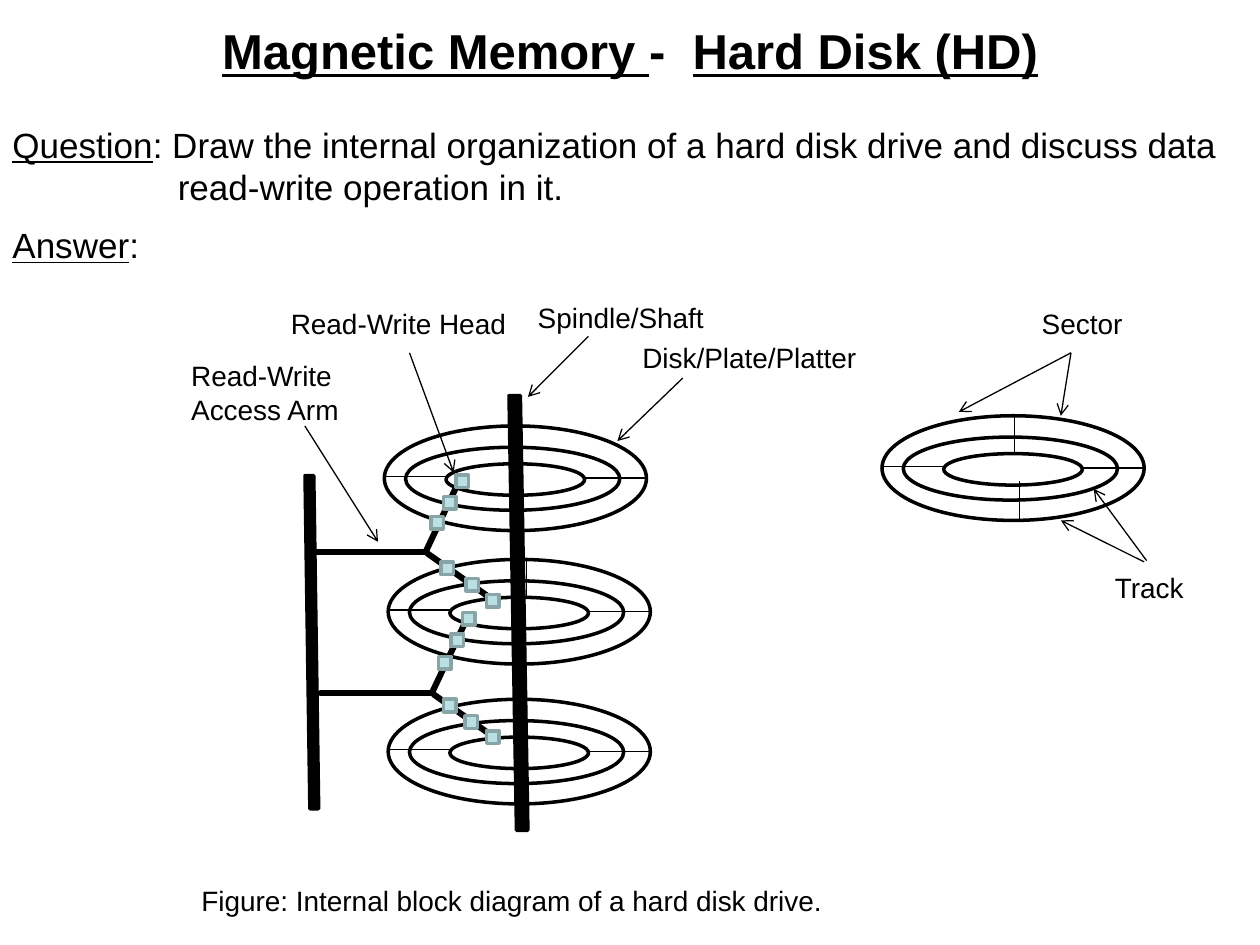
import math
import pptx
import pptx.dml.color
import pptx.enum.shapes
import pptx.enum.text
import pptx.oxml
import pptx.util
from dataclasses import dataclass
from lxml import etree

Pt = pptx.util.Pt
shape_kind = pptx.enum.shapes.MSO_SHAPE
anchor = pptx.enum.text.MSO_ANCHOR
align = pptx.enum.text.PP_ALIGN


@dataclass(frozen=True)
class Theme:
    font: str = "Arial"
    ink: str = "000000"
    aqua: str = "BBE0E3"
    edge: str = "89A4A7"
    head: int = 28
    body: int = 20
    label: int = 16
    thin: float = 0.75
    thick: float = 2


theme = Theme()

title = [[("Magnetic Memory ", True), ("-  ", False), ("Hard Disk (HD)", True)]]
body = [
    [("Question", True),
     (": Draw the internal organization of a hard disk drive and discuss data", False)],
    [("read-write operation in it.", False)],
    [("Answer", True), (":", False)],
]
labels = [
    (["Track"], 630, 322.6, 66.2),
    (["Sector"], 588.2, 171.4, 77.8),
    (["Read-Write", "Access Arm"], 102.2, 201.6, 108),
    (["Disk/Plate/Platter"], 360, 190.8, 156.2),
    (["Spindle/Shaft"], 300.2, 168.5, 113.8),
    (["Read-Write Head"], 159.1, 171.4, 144),
    (["Figure: Internal block diagram of a hard disk drive."], 108, 501.1, 383.8),
]

disks = [(219.6, 243.4, 75.6), (221.8, 319.7, 79), (221.8, 399.6, 79), (504, 237.6, 75.6)]
rings = [(0, 0, 149.8, 59.8), (12.2, 12.2, 122.4, 36), (35.3, 21.6, 79.2, 18)]
spokes = [(78.5, 37.4, 78.5, 59), (0, 28.8, 35.3, 28.8), (114.5, 29.8, 149.4, 29.8)]

spindle = (294.1, 226.1, 298.4, 474.5, 6.5)
post = (176.8, 271.8, 179.6, 462.2, 5)
arms = [
    (179.3, 315.4, 243.4, 315.4),
    (261.4, 276.8, 243.4, 315),
    (278.6, 340.6, 244.1, 316.1),
]
shifts = [(0, 0), (3.6, 80.6)]
heads = [
    (246.2, 295.2), (253.4, 283.7), (260.6, 271.4),
    (252, 321.1), (266.4, 330.5), (277.9, 339.8),
    (250.6, 375.1), (257.8, 362.2), (264.2, 349.9),
    (253.4, 399.6), (265.7, 409), (277.9, 417.6),
]
arrows = [
    (390.2, 216, 352.8, 252),
    (336.2, 192.2, 301.7, 226.8),
    (612, 201.6, 606.2, 237.6),
    (655.2, 320.4, 625, 279.4),
    (612, 201.6, 547.9, 235.4),
    (653.8, 321.1, 606.2, 297.4),
    (174.2, 243.4, 216, 309.6),
    (234, 201.6, 259.2, 270),
]


def tint(code):
    return pptx.dml.color.RGBColor.from_string(code)


def points(*values):
    return [Pt(value) for value in values]


def write(frame, paras, size, bold=False):
    frame.word_wrap = True
    for i, runs in enumerate(paras):
        para = frame.paragraphs[0] if i == 0 else frame.add_paragraph()
        for text, under in runs:
            run = para.add_run()
            run.text = text
            run.font.name = theme.font
            run.font.size = Pt(size)
            run.font.bold = bold
            run.font.underline = under
            run.font.color.rgb = tint(theme.ink)


def style(shape, fill=None, edge=theme.ink):
    shape.shadow.inherit = False
    if fill:
        shape.fill.solid()
        shape.fill.fore_color.rgb = tint(fill)
    else:
        shape.fill.background()
    shape.line.color.rgb = tint(edge)
    shape.line.width = Pt(theme.thick)


def add_line(shapes, ends, arrow=False):
    line = shapes.add_connector(
        pptx.enum.shapes.MSO_CONNECTOR.STRAIGHT, *points(*ends))
    line.line.color.rgb = tint(theme.ink)
    line.line.width = Pt(theme.thin)
    if arrow:
        tail = etree.SubElement(line.line._get_or_add_ln(), pptx.oxml.ns.qn("a:tailEnd"))
        tail.set("type", "arrow")
    etree.SubElement(line._element.spPr, pptx.oxml.ns.qn("a:effectLst"))


def add_bar(shapes, ends, width, fill):
    x1, y1, x2, y2 = ends
    span = math.hypot(x2 - x1, y2 - y1)
    dx = (y2 - y1) / span * width / 2
    dy = (x1 - x2) / span * width / 2
    form = shapes.build_freeform(*points(x1 + dx, y1 + dy))
    rest = [(x2 + dx, y2 + dy), (x2 - dx, y2 - dy), (x1 - dx, y1 - dy)]
    form.add_line_segments([points(*spot) for spot in rest], close=True)
    style(form.convert_to_shape(), fill)


def add_disk(shapes, left, top, spoke):
    for x, y, wide, high in rings:
        style(shapes.add_shape(
            shape_kind.OVAL, *points(left + x, top + y, wide, high)))
    for x1, y1, x2, y2 in spokes + [(spoke, 0, spoke, 21.6)]:
        add_line(shapes, (left + x1, top + y1, left + x2, top + y2))


def main():
    deck = pptx.Presentation()
    deck.slide_width, deck.slide_height = points(720, 540)
    slide = deck.slides.add_slide(deck.slide_layouts[5])
    shapes = slide.shapes

    top = shapes.title
    top.left, top.top, top.width, top.height = points(36, 3.6, 648, 50.4)
    top.text_frame.vertical_anchor = anchor.MIDDLE
    write(top.text_frame, title, theme.head, True)
    top.text_frame.paragraphs[0].alignment = align.CENTER

    box = shapes.add_textbox(*points(0, 66.2, 714.2, 90))
    box.text_frame.vertical_anchor = anchor.MIDDLE
    write(box.text_frame, body, theme.body)
    paras = box.text_frame.paragraphs
    paras[1]._p.get_or_add_pPr().set("marL", str(Pt(94.5)))
    paras[2].space_before = Pt(9.2)

    for disk in disks:
        add_disk(shapes, *disk)
    for *ends, width in (spindle, post):
        add_bar(shapes, ends, width, theme.ink)
    for dx, dy in shifts:
        for x1, y1, x2, y2 in arms:
            add_bar(shapes, (x1 + dx, y1 + dy, x2 + dx, y2 + dy), 1.5, theme.aqua)
    for ends in arrows:
        add_line(shapes, ends, True)
    for x, y in heads:
        style(shapes.add_shape(shape_kind.RECTANGLE, *points(x, y, 7.2, 7.2)),
              theme.aqua, theme.edge)

    for lines, x, y, wide in labels:
        high = 7.2 + 19.4 * len(lines)
        label = shapes.add_textbox(*points(x, y, wide, high))
        write(label.text_frame, [[(line, False)] for line in lines], theme.label)

    deck.save("out.pptx")


if __name__ == "__main__":
    main()
